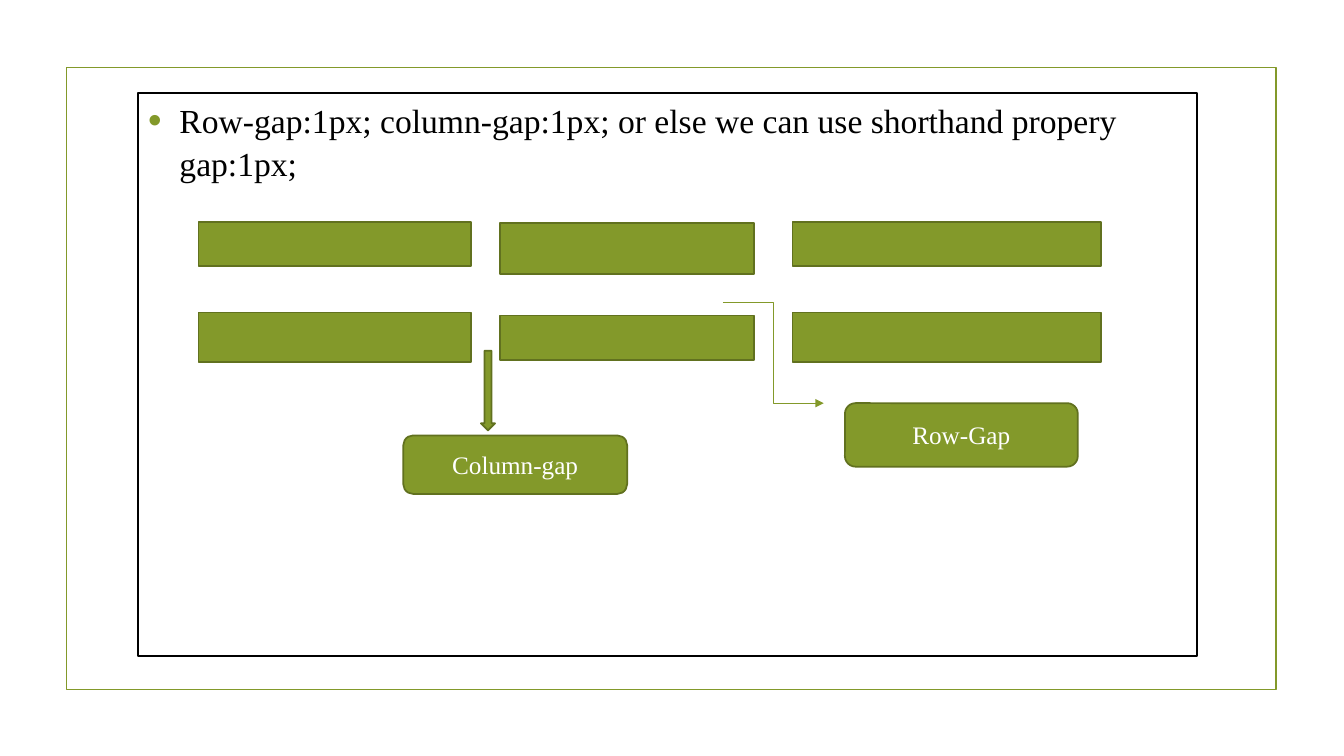
from dataclasses import dataclass

from lxml.etree import SubElement
from pptx import Presentation
from pptx.dml.color import RGBColor
from pptx.enum.shapes import MSO_CONNECTOR, MSO_SHAPE
from pptx.enum.text import MSO_ANCHOR, MSO_AUTO_SIZE, PP_ALIGN
from pptx.oxml.ns import qn
from pptx.util import Inches, Pt


@dataclass(frozen=True)
class Theme:
    green: RGBColor = RGBColor(0x83, 0x99, 0x2A)
    dark_green: RGBColor = RGBColor(0x61, 0x71, 0x1F)
    black: RGBColor = RGBColor(0, 0, 0)
    white: RGBColor = RGBColor(255, 255, 255)
    font: str = "Times New Roman"
    body_size: Pt = Pt(24)
    label_size: Pt = Pt(18)
    outline: Pt = Pt(1.25)
    thin: Pt = Pt(0.75)


theme = Theme()


def add_block(kind, left, top, width, height):
    block = page.shapes.add_shape(
        kind, Inches(left), Inches(top), Inches(width), Inches(height))
    block.shadow.inherit = False
    block.fill.solid()
    block.fill.fore_color.rgb = theme.green
    block.line.color.rgb = theme.dark_green
    block.line.width = theme.outline
    return block


def write(box, text, size, color):
    para = box.text_frame.paragraphs[0]
    para.text = text
    font = para.runs[0].font
    font.name = theme.font
    font.size = size
    font.color.rgb = color
    return para


deck = Presentation()
deck.slide_width = Inches(13.33)
deck.slide_height = Inches(7.5)
page = deck.slides.add_slide(deck.slide_layouts[1])
title = page.shapes.title.element
title.getparent().remove(title)

body = page.placeholders[1]
frame = add_block(MSO_SHAPE.RECTANGLE, 0.66, 0.67, 12, 6.17)
frame.fill.background()
frame.line.color.rgb = theme.green
body.element.addprevious(frame.element)

body.left, body.top = Inches(1.37), Inches(0.92)
body.width, body.height = Inches(10.5), Inches(5.59)
body.fill.solid()
body.fill.fore_color.rgb = theme.white
body.line.color.rgb = theme.black
body.line.width = theme.outline
body.text_frame.auto_size = MSO_AUTO_SIZE.NONE
body.text_frame.vertical_anchor = MSO_ANCHOR.TOP
para = write(
    body,
    "Row-gap:1px; column-gap:1px; or else we can use shorthand propery gap:1px;",
    theme.body_size, theme.black)
para.line_spacing = 1.06
para.space_before = Pt(0)
para.space_after = Pt(6)
properties = para._p.get_or_add_pPr()
properties.set("marL", str(Inches(0.31)))
properties.set("indent", str(Inches(-0.31)))
bullet_color = SubElement(properties, qn("a:buClr"))
SubElement(bullet_color, qn("a:srgbClr"), val=str(theme.green))
SubElement(properties, qn("a:buSzPct"), val="115000")
SubElement(properties, qn("a:buFont"), typeface="Arial")
SubElement(properties, qn("a:buChar"), char="•")

columns = [(1.97, 2.7), (4.96, 2.52), (7.86, 3.06)]
outer_rows = [(2.2, 0.44), (3.1, 0.49)]
middle_rows = [(2.21, 0.51), (3.13, 0.44)]
for rows in zip(outer_rows, middle_rows):
    outer, middle = rows
    for (left, width), (top, height) in zip(columns, (outer, middle, outer)):
        add_block(MSO_SHAPE.RECTANGLE, left, top, width, height)

row_arrow = page.shapes.add_connector(
    MSO_CONNECTOR.ELBOW, Inches(7.17), Inches(3), Inches(8.17), Inches(4))
row_arrow.line.color.rgb = theme.green
row_arrow.line.width = theme.thin
SubElement(row_arrow.line._get_or_add_ln(), qn("a:tailEnd"), type="triangle")
SubElement(row_arrow._element.spPr, qn("a:effectLst"))

add_block(MSO_SHAPE.DOWN_ARROW, 4.77, 3.48, 0.14, 0.79)

labels = [("Row-Gap", 8.38, 4, 2.31, 0.63), ("Column-gap", 4, 4.32, 2.22, 0.58)]
for text, *place in labels:
    label = add_block(MSO_SHAPE.ROUNDED_RECTANGLE, *place)
    label.text_frame.vertical_anchor = MSO_ANCHOR.MIDDLE
    para = write(label, text, theme.label_size, theme.white)
    para.alignment = PP_ALIGN.CENTER

deck.save("out.pptx")
